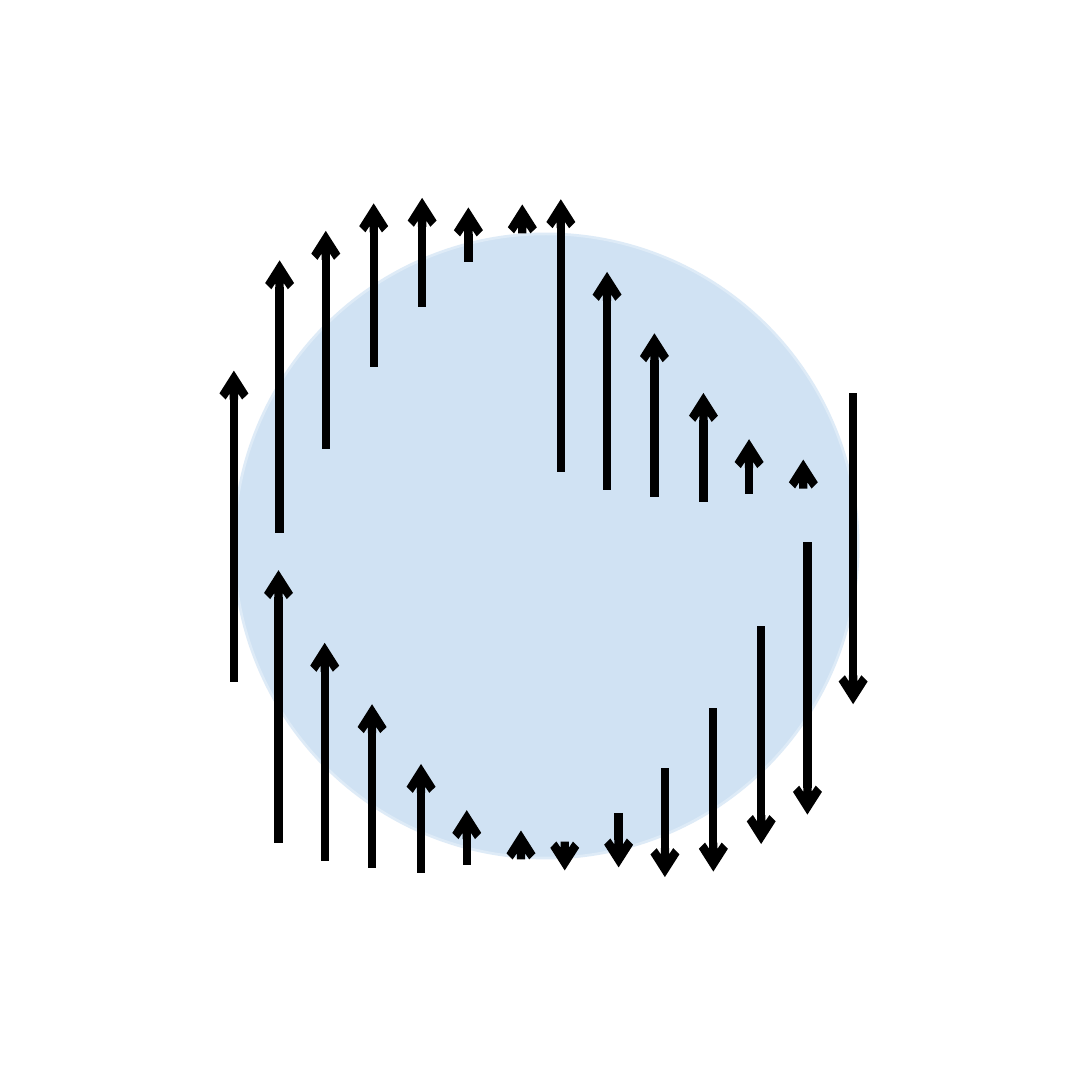
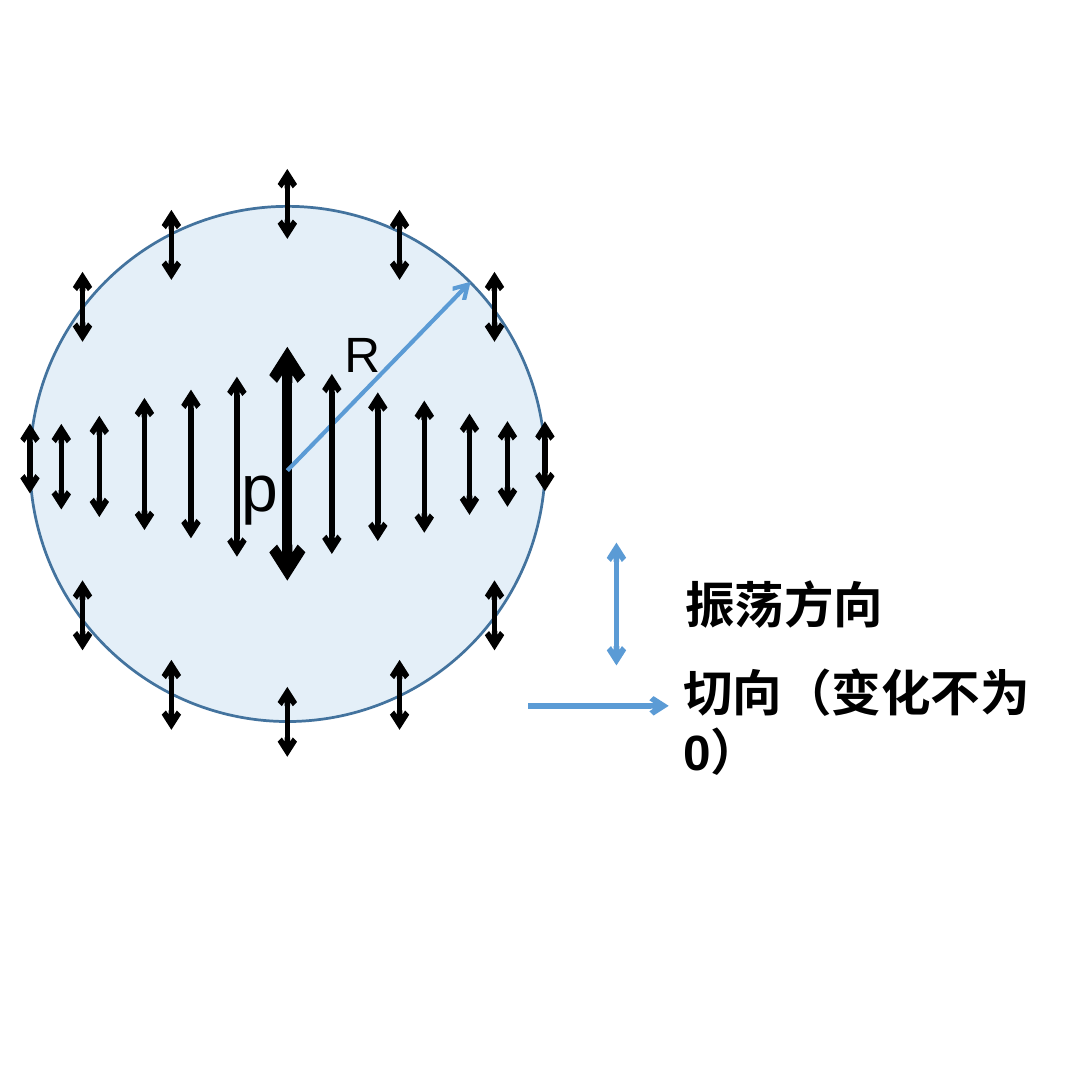
from dataclasses import dataclass

from lxml.etree import SubElement
from pptx import Presentation
from pptx.dml.color import RGBColor
from pptx.enum.shapes import MSO_CONNECTOR, MSO_SHAPE
from pptx.oxml.ns import qn
from pptx.util import Pt


@dataclass(frozen=True)
class Theme:
    ink: str = "000000"
    blue: str = "5B9BD5"
    disc: str = "BDD7EE"
    pale: str = "DEEBF7"
    rim: str = "43739E"
    font: str = "Arial"
    text: int = 18
    big: int = 24
    thin: float = 1.5
    mid: float = 2
    wide: float = 3
    bold: float = 3.75


THEME = Theme()
SIDE = 396.8

# Slide 1: x and y of the tail, then length of each upward arrow
RISE = [(85, 247.7, 113), (101.6, 193.6, 99), (118.4, 163.1, 79.2),
        (135.8, 133.3, 59.4), (153.4, 111.5, 39.6), (170.2, 95.2, 19.8),
        (189.8, 79.9, 5.6)]
FAN = [(101.2, 306.2, 99), (118, 312.8, 79.2), (135.2, 315.3, 59.4),
       (153, 317.2, 39.6), (169.6, 314.2, 19.8), (189.3, 307.4, 5.6)]
FAN_STEP = (102.6, -134.8)
TURN = (395, 390.6)  # sum of opposite points under a half turn

# Slide 2: x and middle y of each double arrow
RIM_LEN = 25.4
RIM = [(62.3, 89), (30, 111.5), (10.9, 166.6), (30, 223.6), (62.3, 252.5),
       (104.4, 262.3), (145.2, 252.5), (179.7, 223.6), (198, 165.8),
       (179.7, 111.5), (145.2, 89), (104.4, 74.1)]
# x, middle y and length, right of the centre
CORE = [(120.6, 168.6, 65.4), (137.3, 169.6, 54), (154.2, 169.6, 48),
        (170.6, 168.7, 36.8), (184.4, 168.6, 31.1)]
CORE_TURN = (206.7, 338.2)
# words, left, top, width, height, size, bold
MARKS = [("R", 118.1, 113.8, 32, 28.8, THEME.text, False),
         ("p", 80.6, 158.4, 30.2, 36, THEME.big, False)]
KEYS = [("振荡方向", 241.9, 205.2, 90, 28.8, THEME.text, True),
        ("切向（变化不为0）", 241.2, 236.9, 164, 50, THEME.text, True)]


def rgb(code):
    return RGBColor.from_string(code)


def disc(shapes, left, top, size, alpha, rim):
    oval = shapes.add_shape(MSO_SHAPE.OVAL, Pt(left), Pt(top), Pt(size), Pt(size))
    oval.shadow.inherit = False
    oval.fill.solid()
    oval.fill.fore_color.rgb = rgb(THEME.disc)
    tint = oval._element.spPr.find(qn("a:solidFill"))[0]
    SubElement(tint, qn("a:alpha"), val=str(alpha * 1000))
    oval.line.color.rgb = rgb(rim)
    oval.line.width = Pt(1)


def arrow(shapes, start, end, width, color=THEME.ink, both=False):
    link = shapes.add_connector(
        MSO_CONNECTOR.STRAIGHT, *(Pt(v) for v in (*start, *end)))
    link.line.color.rgb = rgb(color)
    link.line.width = Pt(width)
    props = link._element.spPr
    for tag in ("a:headEnd", "a:tailEnd") if both else ("a:tailEnd",):
        SubElement(props.find(qn("a:ln")), qn(tag), type="arrow")
    SubElement(props, qn("a:effectLst"))


def swing(shapes, x, y, size, width=THEME.mid, color=THEME.ink):
    """Draw an upright double arrow around its middle."""
    arrow(shapes, (x, y - size / 2), (x, y + size / 2), width, color, True)


def label(shapes, words, left, top, width, height, size, bold):
    box = shapes.add_textbox(Pt(left), Pt(top), Pt(width), Pt(height))
    box.text_frame.word_wrap = True
    run = box.text_frame.paragraphs[0].add_run()
    run.text = words
    run.font.name = THEME.font
    run.font.size = Pt(size)
    run.font.bold = bold
    run.font.color.rgb = rgb(THEME.ink)


def group(slide):
    return slide.shapes.add_group_shape().shapes


def waves(slide):
    disc(slide.shapes, 85, 85, 226.8, 70, THEME.pale)
    for x, y, size in RISE + FAN:
        arrow(slide.shapes, (x, y), (x, y - size), THEME.wide)
    fall = group(slide)
    for x, y, size in RISE:
        x, y = TURN[0] - x, TURN[1] - y
        arrow(fall, (x, y), (x, y + size), THEME.wide)
    moved = group(slide)
    for x, y, size in FAN:
        x, y = x + FAN_STEP[0], y + FAN_STEP[1]
        arrow(moved, (x, y), (x, y - size), THEME.wide)


def dipole(slide):
    field = group(slide)
    disc(field, 10.9, 75, 187.2, 40, THEME.rim)
    swing(field, 104.4, 168.5, 85, THEME.bold)
    for x, y in RIM:
        swing(field, x, y, RIM_LEN)
    arrow(field, (104.4, 171), (171, 102.4), THEME.thin, THEME.blue)
    for mark in MARKS:
        label(field, *mark)
    for x, y, size in CORE:
        swing(field, x, y, size)
        swing(field, CORE_TURN[0] - x, CORE_TURN[1] - y, size)
    legend = group(slide)
    swing(legend, 224, 219.5, 44.6, color=THEME.blue)
    arrow(legend, (192, 256.5), (243, 256.5), THEME.mid, THEME.blue)
    for key in KEYS:
        label(legend, *key)


def main():
    deck = Presentation()
    deck.slide_width = deck.slide_height = Pt(SIDE)
    blank = deck.slide_layouts[6]
    for build in (waves, dipole):
        build(deck.slides.add_slide(blank))
    deck.save("out.pptx")


if __name__ == "__main__":
    main()
